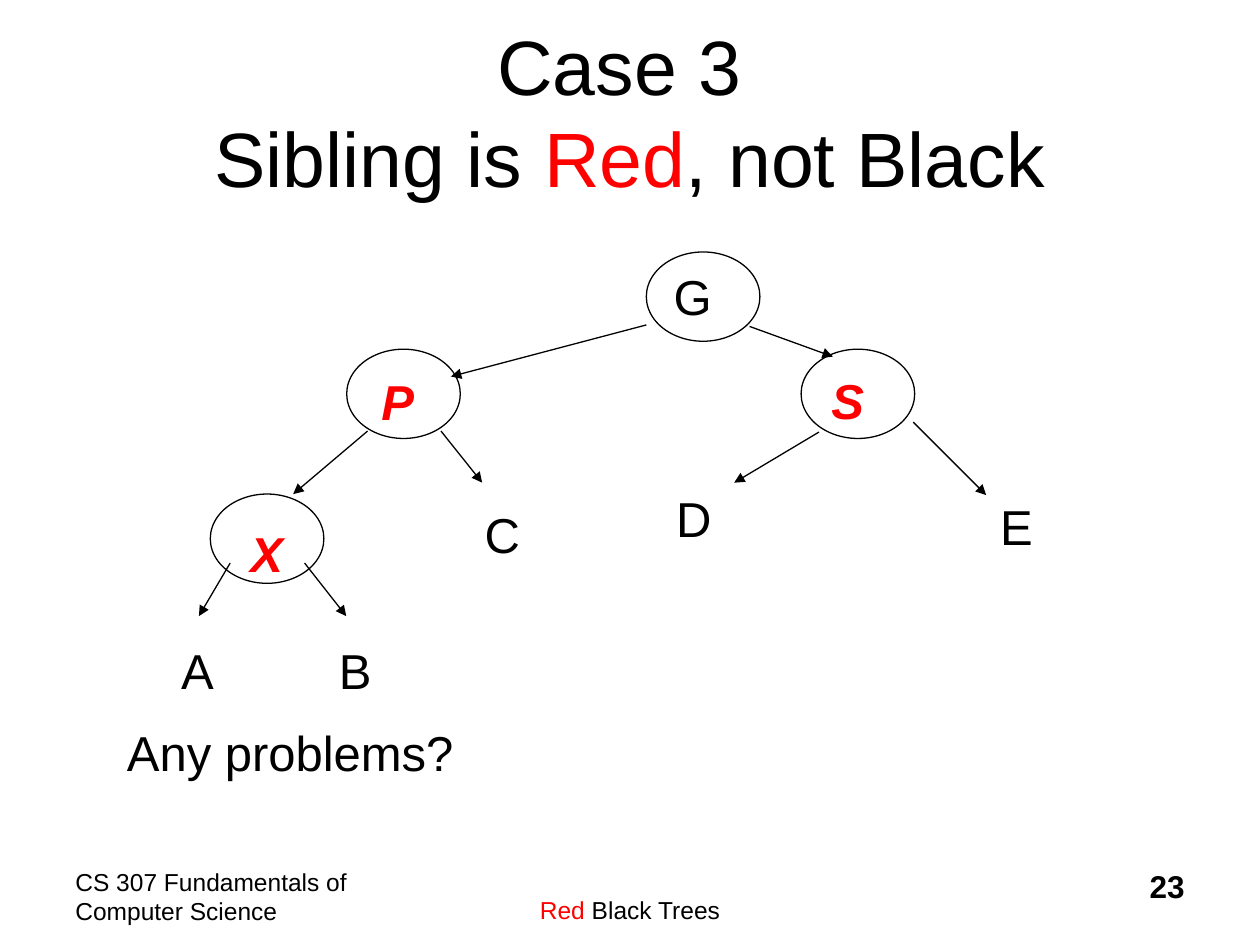
from pptx import Presentation
from pptx.dml.color import RGBColor
from pptx.enum.shapes import MSO_CONNECTOR, MSO_SHAPE
from pptx.enum.text import MSO_ANCHOR, MSO_AUTO_SIZE, PP_ALIGN
from pptx.oxml.ns import qn
from pptx.util import Cm, Pt
from lxml.etree import SubElement

BLACK, RED = "000000", "FF0000"
NODE = (2.29, 1.8)
NODES = [
    ("G", BLACK, (9.63, 0), (9.93, 0.08)),
    ("P", RED, (3.59, 1.96), (4.04, 2.18)),
    ("S", RED, (12.75, 1.96), (13.11, 2.16)),
    ("X", RED, (0.84, 4.88), (1.4, 5.26)),
]
LEAVES = [
    ("A", (0, 7.62)),
    ("B", (3.18, 7.62)),
    ("C", (6.12, 4.88)),
    ("D", (9.98, 4.55)),
    ("E", (16.51, 4.7)),
]
EDGES = [
    ((9.63, 1.47), (5.69, 2.51)),
    ((11.71, 1.5), (13.39, 2.11)),
    ((4.01, 3.61), (2.51, 4.88)),
    ((5.49, 3.61), (6.32, 4.65)),
    ((13.11, 3.63), (11.4, 4.65)),
    ((15.01, 3.43), (16.48, 4.9)),
    ((1.24, 6.27), (0.61, 7.34)),
    ((2.74, 6.27), (3.58, 7.34)),
]


def tint(code):
    return RGBColor.from_string(code)


def write(shape, parts, size=28, bold=False, italic=False,
          align=PP_ALIGN.LEFT, anchor=MSO_ANCHOR.TOP, top=0.13, wrap=True):
    frame = shape.text_frame
    frame.word_wrap = wrap
    frame.auto_size = MSO_AUTO_SIZE.NONE
    frame.vertical_anchor = anchor
    frame.margin_top = Cm(top)
    para = frame.paragraphs[0]
    para.alignment = align
    for text, color in parts:
        if text == "\v":
            para.add_line_break()
            continue
        run = para.add_run()
        run.text = text
        font = run.font
        font.name, font.size = "Arial", Pt(size)
        font.bold, font.italic = bold, italic
        font.color.rgb = tint(color)


def label(slide, box, parts, **style):
    write(slide.shapes.add_textbox(*map(Cm, box)), parts, **style)


def mark(slide, x, y, text, color=BLACK, width=1.18):
    strong = color == RED
    label(slide, (x, y, width, 1.45), [(text, color)],
          bold=strong, italic=strong, top=0.22, wrap=False)


def ring(slide, x, y):
    oval = slide.shapes.add_shape(MSO_SHAPE.OVAL, *map(Cm, (x, y, *NODE)))
    oval.shadow.inherit = False
    oval.fill.background()
    oval.line.color.rgb = tint(BLACK)
    oval.line.width = Pt(0.75)


def arrow(slide, start, end):
    link = slide.shapes.add_connector(
        MSO_CONNECTOR.STRAIGHT, *map(Cm, (*start, *end)))
    link.line.color.rgb = tint(BLACK)
    link.line.width = Pt(0.75)
    SubElement(link.line._get_or_add_ln(), qn("a:tailEnd"), type="triangle")
    SubElement(link._element.spPr, qn("a:effectLst"))


def tree(slide, left, top):
    def at(point):
        return left + point[0], top + point[1]

    for name, color, oval, spot in NODES:
        ring(slide, *at(oval))
        mark(slide, *at(spot), name, color)
    for name, spot in LEAVES:
        mark(slide, *at(spot), name)
    for start, end in EDGES:
        arrow(slide, at(start), at(end))


def header(slide, left, top, width, height):
    title = slide.shapes.title
    title.left, title.top = Cm(left), Cm(top)
    title.width, title.height = Cm(width), Cm(height)
    write(title, [("Case 3 ", BLACK), ("\v", BLACK), ("Sibling is ", BLACK),
                  ("Red", RED), (", not Black", BLACK)],
          size=44, align=PP_ALIGN.CENTER, anchor=MSO_ANCHOR.MIDDLE)


def footer(slide, left, top, width, height):
    label(slide, (left, top, 6.35, height),
          [("CS 307 Fundamentals of Computer Science", BLACK)], size=14)
    label(slide, (left + (width - 9.74) / 2, top, 9.74, height),
          [("Red", RED), (" Black Trees", BLACK)],
          size=14, align=PP_ALIGN.CENTER, top=0.7)
    label(slide, (left + width - 5.29, top, 5.29, height),
          [("23", BLACK)], size=18, bold=True, align=PP_ALIGN.RIGHT)


def main():
    deck = Presentation()
    deck.slide_width, deck.slide_height = Cm(25.4), Cm(19.05)
    slide = deck.slides.add_slide(deck.slide_layouts[5])
    header(slide, 1.9, 0.64, 21.6, 3.18)
    tree(slide, 3.4, 5.08)
    mark(slide, 2.31, 14.35, "Any problems?", width=7.09)
    footer(slide, 1.27, 17.35, 22.86, 1.27)
    deck.save("out.pptx")


if __name__ == "__main__":
    main()
